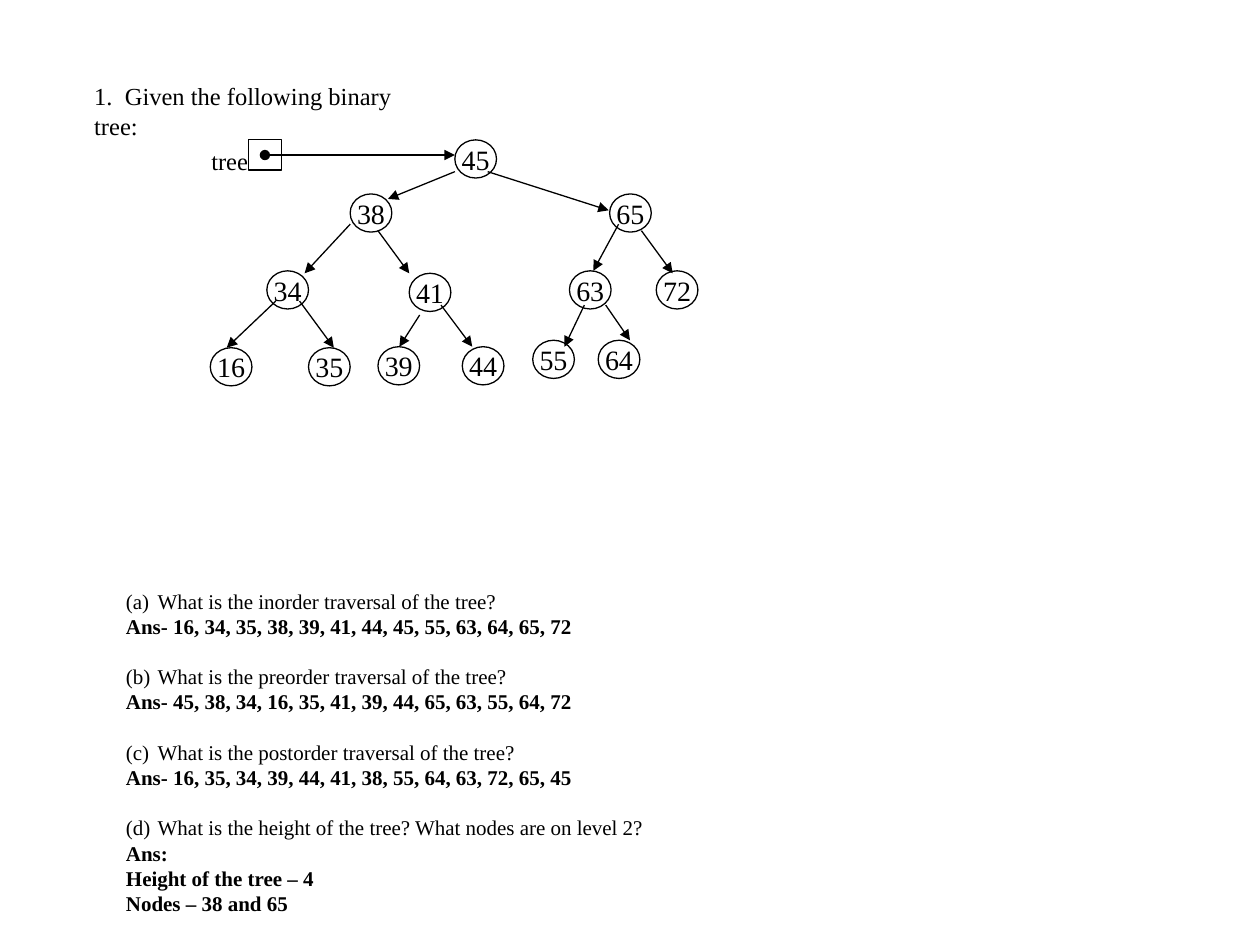
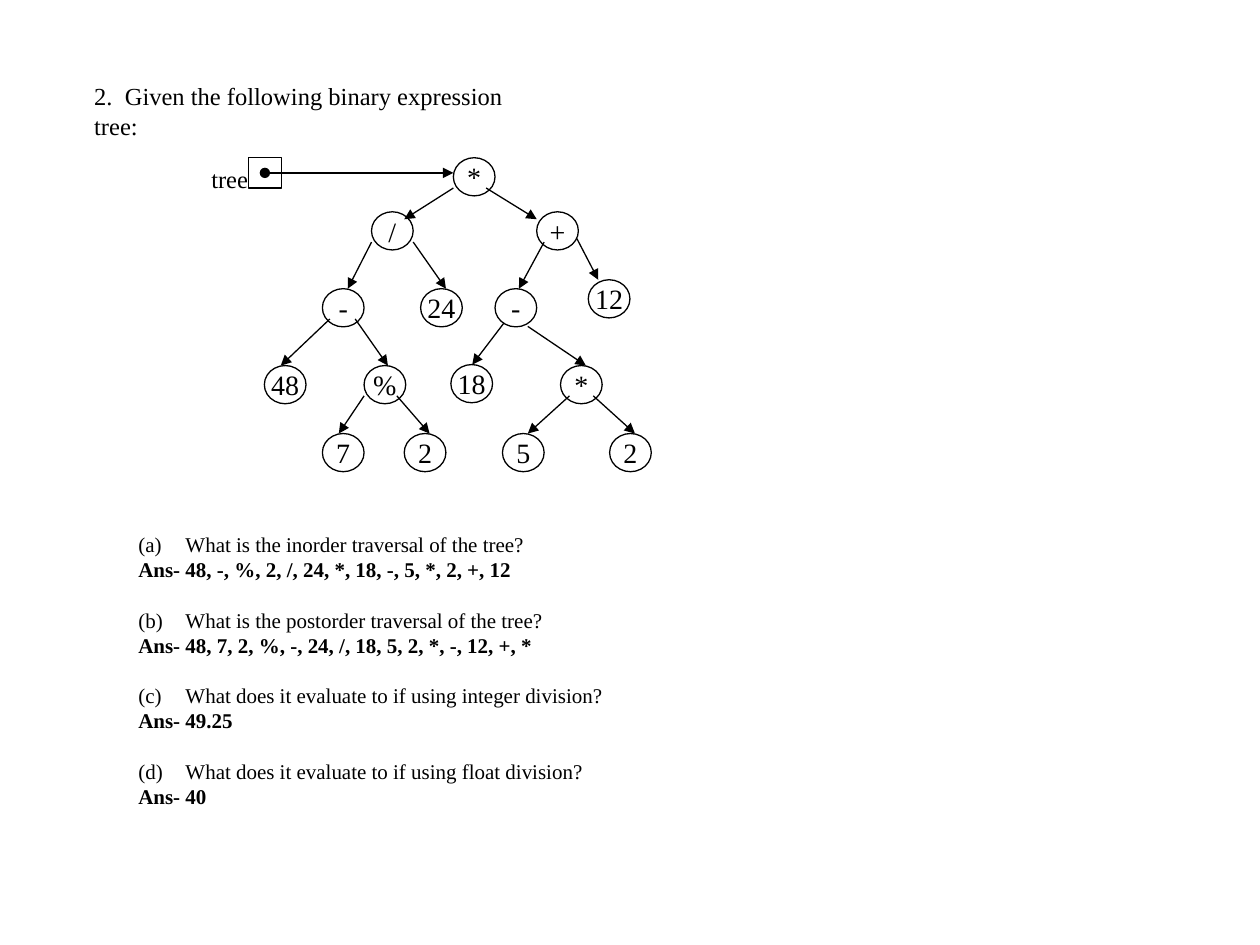
from lxml import etree
from pptx import Presentation
from pptx.dml.color import RGBColor
from pptx.enum import shapes, text
from pptx.oxml.ns import qn
from pptx.util import Cm, Pt

BLACK = RGBColor(0, 0, 0)
FONT = "Times New Roman"
LINE_WIDTH = Pt(0.75)
NODE_W, NODE_H = 0.84, 0.77
POINTER_W, POINTER_H = 0.66, 0.61
TITLE_LEFT, TITLE_TOP = 1.65, 1.5

# Tree nodes: label, (left, top), arrow leading to the node (x1, y1, x2, y2), in cm
SEARCH_TREE = [
    ("45", (5.16, 0), None),
    ("38", (3.05, 1.09), (5.16, 0.64, 3.81, 1.19)),
    ("65", (8.28, 1.09), (5.82, 0.64, 8.26, 1.42)),
    ("34", (1.37, 2.64), (3.05, 1.7, 2.13, 2.69)),
    ("41", (4.24, 2.69), (3.61, 1.83, 4.24, 2.69)),
    ("63", (7.47, 2.64), (8.46, 1.7, 7.95, 2.64)),
    ("72", (9.22, 2.64), (8.92, 1.83, 9.55, 2.69)),
    ("16", (0.23, 4.19), (1.55, 3.25, 0.56, 4.19)),
    ("35", (2.21, 4.19), (2.03, 3.25, 2.72, 4.19)),
    ("39", (3.61, 4.17), (4.45, 3.53, 4.04, 4.17)),
    ("44", (5.31, 4.17), (4.88, 3.33, 5.51, 4.17)),
    ("55", (6.73, 4.04), (7.77, 3.33, 7.37, 4.17)),
    ("64", (8.05, 4.04), (8.2, 3.33, 8.69, 4.04)),
]
EXPRESSION_TREE = [
    ("*", (5.13, 0), None),
    ("/", (3.48, 1.09), (5.13, 0.61, 4.14, 1.24)),
    ("+", (6.81, 1.09), (5.79, 0.61, 6.81, 1.24)),
    ("-", (2.49, 2.64), (3.48, 1.7, 3, 2.64)),
    ("24", (4.47, 2.64), (4.32, 1.7, 4.98, 2.64)),
    ("-", (5.97, 2.64), (6.96, 1.7, 6.45, 2.64)),
    ("12", (7.85, 2.46), (7.62, 1.63, 8.05, 2.46)),
    ("48", (1.32, 4.19), (2.64, 3.25, 1.65, 4.19)),
    ("%", (3.33, 4.19), (3.15, 3.25, 3.81, 4.19)),
    ("18", (5.08, 4.17), (6.15, 3.33, 5.51, 4.17)),
    ("*", (7.29, 4.19), (6.63, 3.4, 7.8, 4.19)),
    ("7", (2.49, 5.56), (3.33, 4.8, 2.82, 5.56)),
    ("2", (4.14, 5.56), (3.99, 4.8, 4.65, 5.56)),
    ("5", (6.12, 5.56), (7.47, 4.8, 6.63, 5.56)),
    ("2", (8.28, 5.56), (7.95, 4.8, 8.79, 5.56)),
]

# Questions, each with its answer lines
SEARCH_QUESTIONS = [
    ("What is the inorder traversal of the tree?",
     ["Ans- 16, 34, 35, 38, 39, 41, 44, 45, 55, 63, 64, 65, 72"]),
    ("What is the preorder traversal of the tree?",
     ["Ans- 45, 38, 34, 16, 35, 41, 39, 44, 65, 63, 55, 64, 72"]),
    ("What is the postorder traversal of the tree?",
     ["Ans- 16, 35, 34, 39, 44, 41, 38, 55, 64, 63, 72, 65, 45"]),
    ("What is the height of the tree? What nodes are on level 2?",
     ["Ans:", "Height of the tree – 4", "Nodes – 38 and 65"]),
]
EXPRESSION_QUESTIONS = [
    ("What is the inorder traversal of the tree?",
     ["Ans- 48, -, %, 2, /, 24, *, 18, -, 5, *, 2, +, 12"]),
    ("What is the postorder traversal of the tree?",
     ["Ans- 48, 7, 2, %, -, 24, /, 18, 5, 2, *, -, 12, +, *"]),
    ("What does it evaluate to if using integer division?", ["Ans- 49.25"]),
    ("What does it evaluate to if using float division?", ["Ans- 40"]),
]


def write(p, words, size, bold=False):
    p.text = words
    f = p.runs[0].font
    f.name, f.size, f.bold = FONT, Pt(size), bold
    f.color.rgb = BLACK


def add_text_box(slide, left, top, width, height):
    tf = slide.shapes.add_textbox(Cm(left), Cm(top), Cm(width), Cm(height)).text_frame
    tf.word_wrap = True
    return tf


def add_outline(slide, kind, left, top, width, height):
    sp = slide.shapes.add_shape(kind, Cm(left), Cm(top), Cm(width), Cm(height))
    sp.shadow.inherit = False
    sp.fill.background()
    sp.line.color.rgb = BLACK
    sp.line.width = LINE_WIDTH
    return sp


def add_arrow(slide, x1, y1, x2, y2, head=None):
    c = slide.shapes.add_connector(shapes.MSO_CONNECTOR.STRAIGHT,
                                   Cm(x1), Cm(y1), Cm(x2), Cm(y2))
    c.line.color.rgb = BLACK
    c.line.width = LINE_WIDTH
    ln = c.line._get_or_add_ln()
    if head:
        etree.SubElement(ln, qn("a:headEnd"), type=head)
    etree.SubElement(ln, qn("a:tailEnd"), type="triangle")
    etree.SubElement(c._element.spPr, qn("a:effectLst"))


def add_node(slide, label, left, top):
    sp = add_outline(slide, shapes.MSO_SHAPE.OVAL, left, top, NODE_W, NODE_H)
    tf = sp.text_frame
    tf.word_wrap = False
    tf.vertical_anchor = text.MSO_ANCHOR.MIDDLE
    tf.paragraphs[0].alignment = text.PP_ALIGN.CENTER
    write(tf.paragraphs[0], label, 16)


def add_title(slide, words, width):
    tf = add_text_box(slide, TITLE_LEFT, TITLE_TOP, width, 0.84)
    write(tf.paragraphs[0], words, 14)
    tf.paragraphs[0].line_spacing = Pt(17)


def add_tree(slide, left, top, nodes):
    for label, (x, y), arrow in nodes:
        add_node(slide, label, left + x, top + y)
        if arrow:
            x1, y1, x2, y2 = arrow
            add_arrow(slide, left + x1, top + y1, left + x2, top + y2)

    # Pointer to the root
    box_left, middle = left + 1, top + POINTER_H / 2
    tf = add_text_box(slide, left, top, 1.5, 0.84)
    write(tf.paragraphs[0], "tree", 14)
    add_outline(slide, shapes.MSO_SHAPE.RECTANGLE, box_left, top, POINTER_W, POINTER_H)
    root_left = left + nodes[0][1][0]
    add_arrow(slide, box_left + POINTER_W / 2, middle, root_left, middle, "oval")


def add_questions(slide, left, top, width, indent, questions):
    tf = add_text_box(slide, left, top, width, 6.93)
    p = tf.paragraphs[0]
    for number, (question, answers) in enumerate(questions, 1):
        if number > 1:
            p = tf.add_paragraph()
            p.space_before = Pt(14.4)
        write(p, question, 12)
        pPr = p._p.get_or_add_pPr()
        pPr.set("marL", str(Cm(indent)))
        pPr.set("indent", str(-Cm(indent)))
        etree.SubElement(pPr, qn("a:buFont"), typeface="+mj-lt")
        etree.SubElement(pPr, qn("a:buAutoNum"), type="alphaLcParenBoth",
                         startAt=str(number))
        for answer in answers:
            write(tf.add_paragraph(), answer, 12, bold=True)
    for p in tf.paragraphs:
        p.line_spacing = Pt(14.4)


def main():
    prs = Presentation()
    prs.slide_width, prs.slide_height = Cm(25.4), Cm(19.05)
    blank = prs.slide_layouts[6]

    # Binary search tree
    s = prs.slides.add_slide(blank)
    add_title(s, "1.  Given the following binary tree:", 7.49)
    add_questions(s, 2.29, 11.73, 11.07, 0.64, SEARCH_QUESTIONS)
    add_tree(s, 4.01, 2.82, SEARCH_TREE)

    # Binary expression tree
    s = prs.slides.add_slide(blank)
    add_title(s, "2.  Given the following binary expression tree:", 9.73)
    add_questions(s, 2.54, 10.59, 10.01, 0.95, EXPRESSION_QUESTIONS)
    add_tree(s, 4.01, 3.18, EXPRESSION_TREE)

    prs.save("out.pptx")


if __name__ == "__main__":
    main()
